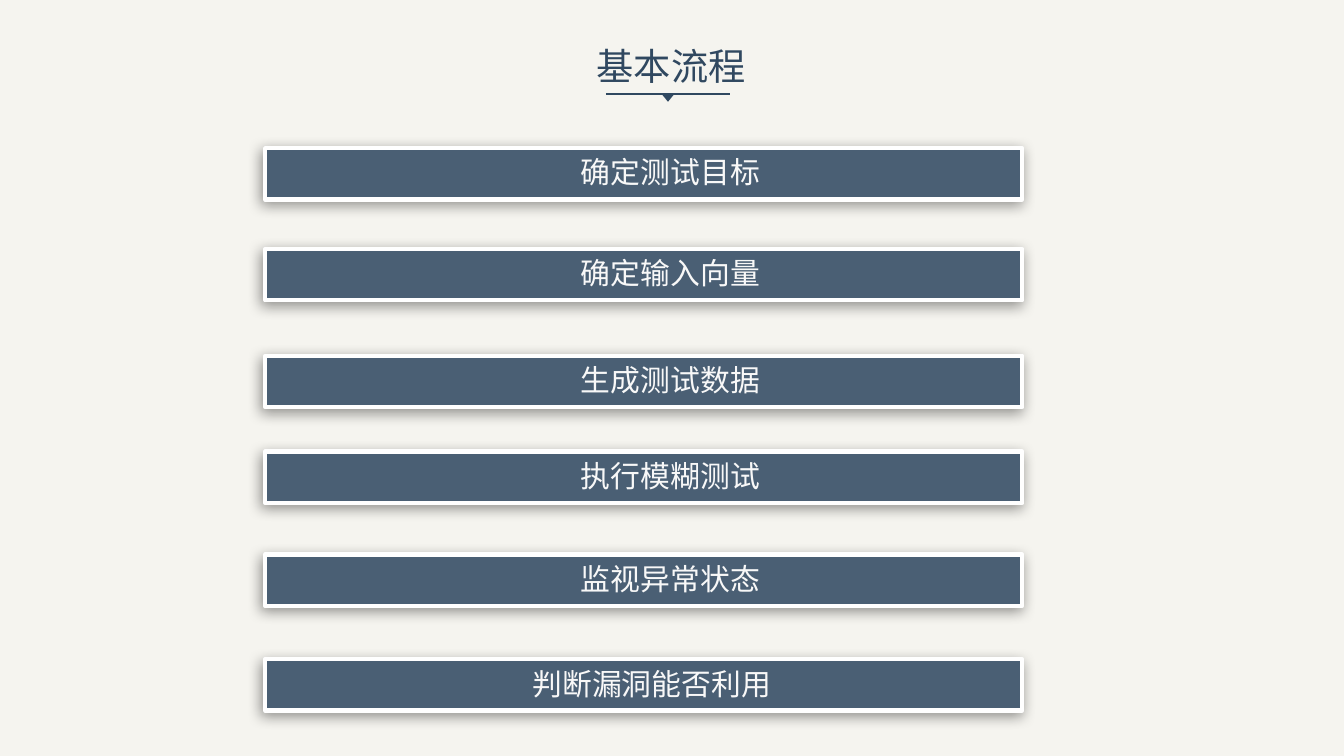
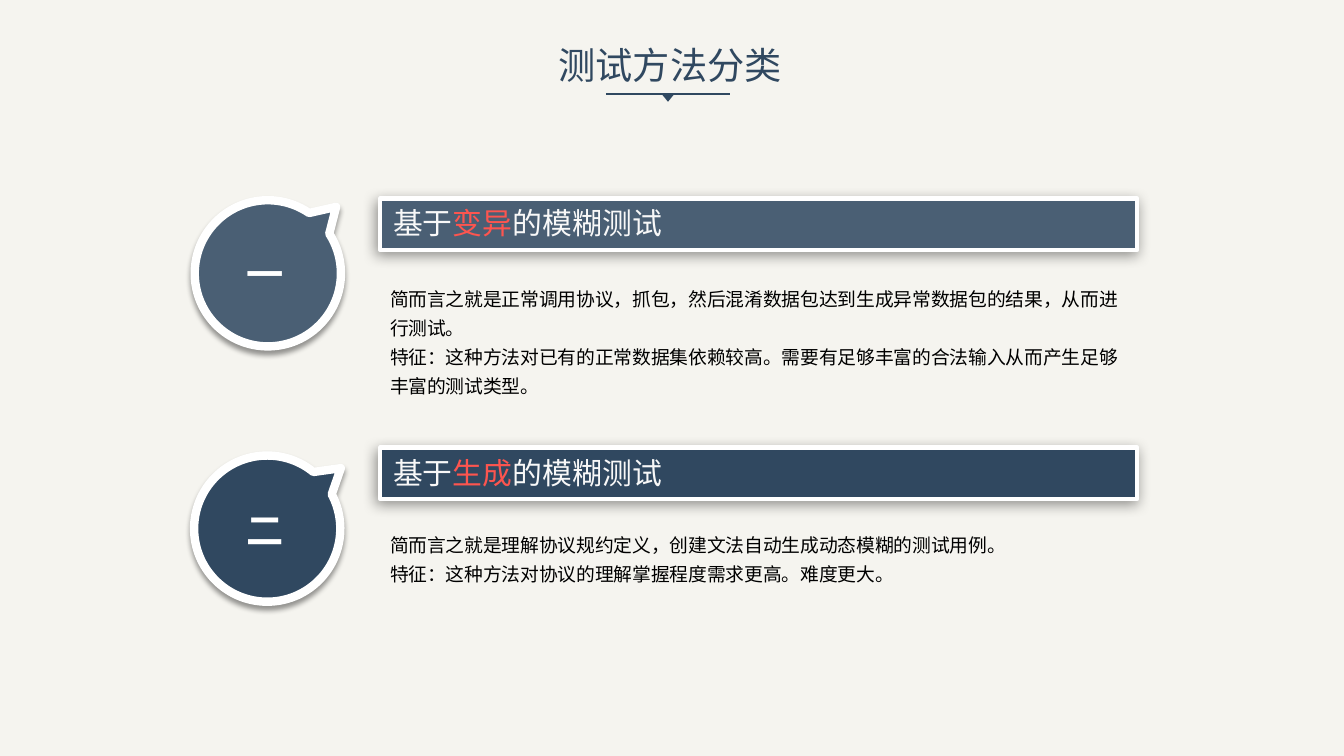
from math import cos, radians, sin, tan

from lxml.etree import SubElement
from pptx import Presentation
from pptx.dml.color import RGBColor
from pptx.enum.shapes import MSO_CONNECTOR, MSO_SHAPE
from pptx.enum.text import MSO_ANCHOR, MSO_AUTO_SIZE, PP_ALIGN
from pptx.oxml.ns import qn
from pptx.util import Inches, Pt

FONT = "Noto Sans CJK SC"
PAPER, NAVY, SLATE = "F5F4EF", "304860", "4A5F74"
WHITE, PALE, RED, BLACK = "FFFFFF", "F8F8F8", "FD554F", "000000"
BAR_W, BAR_H = 7.51, 0.51
HEAD, LABEL, SMALL = 26.67, 21.33, 13.33


def color(code):
    """Turn a hex string into a colour."""
    return RGBColor.from_string(code)


def paint(item, fill, edge=None, width=0):
    """Set fill and outline, with no shadow."""
    item.shadow.inherit = False
    item.fill.solid()
    item.fill.fore_color.rgb = color(fill)
    if edge:
        item.line.color.rgb = color(edge)
        item.line.width = Pt(width)
    else:
        item.line.fill.background()


def shade(item, blur, angle):
    """Cast a soft black shadow, 3 points away."""
    effects = item._element.spPr.find(qn("a:effectLst"))
    cast = SubElement(effects, qn("a:outerShdw"), blurRad=str(Pt(blur)),
                      dist=str(Pt(3)), dir=str(angle * 60000),
                      algn="ctr", rotWithShape="0")
    tone = SubElement(cast, qn("a:srgbClr"), val=BLACK)
    SubElement(tone, qn("a:alpha"), val="40000")


def bend(item):
    """Turn each three line points after the first into one curve."""
    trace = next(item._element.iter(qn("a:path")))
    lines = trace.findall(qn("a:lnTo"))[1:]
    for i in range(0, len(lines), 3):
        curve = SubElement(trace, qn("a:cubicBezTo"))
        lines[i].addprevious(curve)
        for line in lines[i:i + 3]:
            curve.append(line[0])
            trace.remove(line)


def write(frame, paras, size=LABEL, ink=PALE, bold=False,
          align=PP_ALIGN.LEFT, space=None):
    """Fill a frame; a paragraph is a list of texts or (text, ink) pairs."""
    for i, parts in enumerate(paras):
        para = frame.add_paragraph() if i else frame.paragraphs[0]
        para.alignment = align
        if space:
            para.line_spacing = space
        for part in parts:
            words, tint = part if isinstance(part, tuple) else (part, ink)
            run = para.add_run()
            run.text = words
            font = run.font
            font.name, font.size, font.bold = FONT, Pt(size), bold
            font.color.rgb = color(tint)
            SubElement(font._element, qn("a:ea"), typeface=FONT)


class Deck:
    """Hold the shared style and the current slide."""

    def __init__(self):
        """Open a wide deck with a paper background."""
        self.file = Presentation()
        self.file.slide_width = Inches(13.33)
        self.file.slide_height = Inches(7.5)
        back = self.file.slide_master.background.fill
        back.solid()
        back.fore_color.rgb = color(PAPER)

    def page(self, title, left, top, width):
        """Start a slide with its title and the pointed rule below it."""
        layout = self.file.slide_layouts[6]
        self.shapes = self.file.slides.add_slide(layout).shapes
        rule = self.shapes.add_connector(
            MSO_CONNECTOR.STRAIGHT, Inches(6.01), Inches(0.93),
            Inches(7.24), Inches(0.93))
        rule.line.color.rgb = color(NAVY)
        rule.line.width = Pt(1.5)
        SubElement(rule._element.spPr, qn("a:effectLst"))
        point = self.shape(MSO_SHAPE.ISOSCELES_TRIANGLE, 6.56, 0.93, 0.13, 0.08)
        paint(point, NAVY)
        point.rotation = 180
        self.text([[title]], left, top, width, 0.55, wrap=False,
                  size=HEAD, ink=NAVY)

    def shape(self, kind, left, top, width, height):
        """Add a preset shape."""
        return self.shapes.add_shape(kind, Inches(left), Inches(top),
                                     Inches(width), Inches(height))

    def text(self, paras, left, top, width, height, wrap=True, grow=True,
             indent=0.1, **style):
        """Add a text box; one that does not grow is centred vertically."""
        box = self.shapes.add_textbox(Inches(left), Inches(top),
                                      Inches(width), Inches(height))
        frame = box.text_frame
        frame.word_wrap = wrap
        frame.margin_left = Inches(indent)
        if grow:
            frame.auto_size = MSO_AUTO_SIZE.SHAPE_TO_FIT_TEXT
        else:
            frame.vertical_anchor = MSO_ANCHOR.MIDDLE
        write(frame, paras, **style)

    def bar(self, parts, left, top, fill=SLATE, drop=0.01, width=6.05,
            indent=0.1):
        """Add a framed bar with a label on it."""
        band = self.shape(MSO_SHAPE.RECTANGLE, left, top, BAR_W, BAR_H)
        paint(band, fill, WHITE, 3)
        shade(band, 10, 135)
        self.text([parts], left + 0.03, top + drop, width, 0.46, indent=indent)

    def bubble(self, mark, top, turn, fill):
        """Add a round bubble, its tip turned from upright, with its mark."""
        size, reach = 0.725, 0.945

        def spot(angle, pull=0):
            """Find a point on the circle, moved along its tangent."""
            x, y = cos(radians(angle)), sin(radians(angle))
            return (Inches(2.735 + size * (x - pull * y)),
                    Inches(top + reach + size * (y + pull * x)))

        stops = [-78.6, 0, 90, 180, 258.6]
        nodes = [spot(stops[0])]
        for start, end in zip(stops, stops[1:]):
            pull = 4 / 3 * tan(radians(end - start) / 4)
            nodes += [spot(start, pull), spot(end, -pull), spot(end)]
        maker = self.shapes.build_freeform(Inches(2.735), Inches(top))
        maker.add_line_segments(nodes, close=True)
        ball = maker.convert_to_shape()
        bend(ball)
        ball.rotation = turn
        paint(ball, fill, WHITE, 6)
        shade(ball, 4, 90)
        self.text([[mark]], 2.16, top + 0.64, 0.94, 0.54, wrap=False,
                  grow=False, size=HEAD, ink=WHITE, bold=True,
                  align=PP_ALIGN.CENTER)

    def body(self, lines, top, height):
        """Add the plain text below a bar."""
        self.text([[line] for line in lines], 3.77, top, BAR_W, height,
                  size=SMALL, ink=BLACK, space=1.3)


deck = Deck()

deck.page("基本流程", 5.82, 0.38, 1.7)
STEPS = [("确定测试目标", 1.47, 3.1), ("确定输入向量", 2.47, 3.1),
         ("生成测试数据", 3.53, 3.1), ("执行模糊测试", 4.48, 3.1),
         ("监视异常状态", 5.5, 3.1), ("判断漏洞能否利用", 6.54, 2.62)]
for step, top, indent in STEPS:
    deck.bar([step], 2.63, top, indent=indent)

deck.page("测试方法分类", 5.44, 0.37, 2.44)
deck.bar(["基于", ("变异", RED), "的模糊测试"], 3.77, 1.97)
deck.bar(["基于", ("生成", RED), "的模糊测试"], 3.77, 4.44, NAVY,
         drop=0.02, width=4.34)
deck.body(["简而言之就是正常调用协议，抓包，然后混淆数据包达到生成异常数据包的结果，从而进行测试。",
           "特征：这种方法对已有的正常数据集依赖较高。需要有足够丰富的合法输入从而产生足够丰富的测试类型。"],
          2.74, 1.53)
deck.body(["简而言之就是理解协议规约定义，创建文法自动生成动态模糊的测试用例。",
           "特征：这种方法对协议的理解掌握程度需求更高。难度更大。"],
          5.18, 0.66)
deck.bubble("一", 1.8, 45.8, SLATE)
deck.bubble("二", 4.34, 50.6, NAVY)

deck.file.save("out.pptx")
